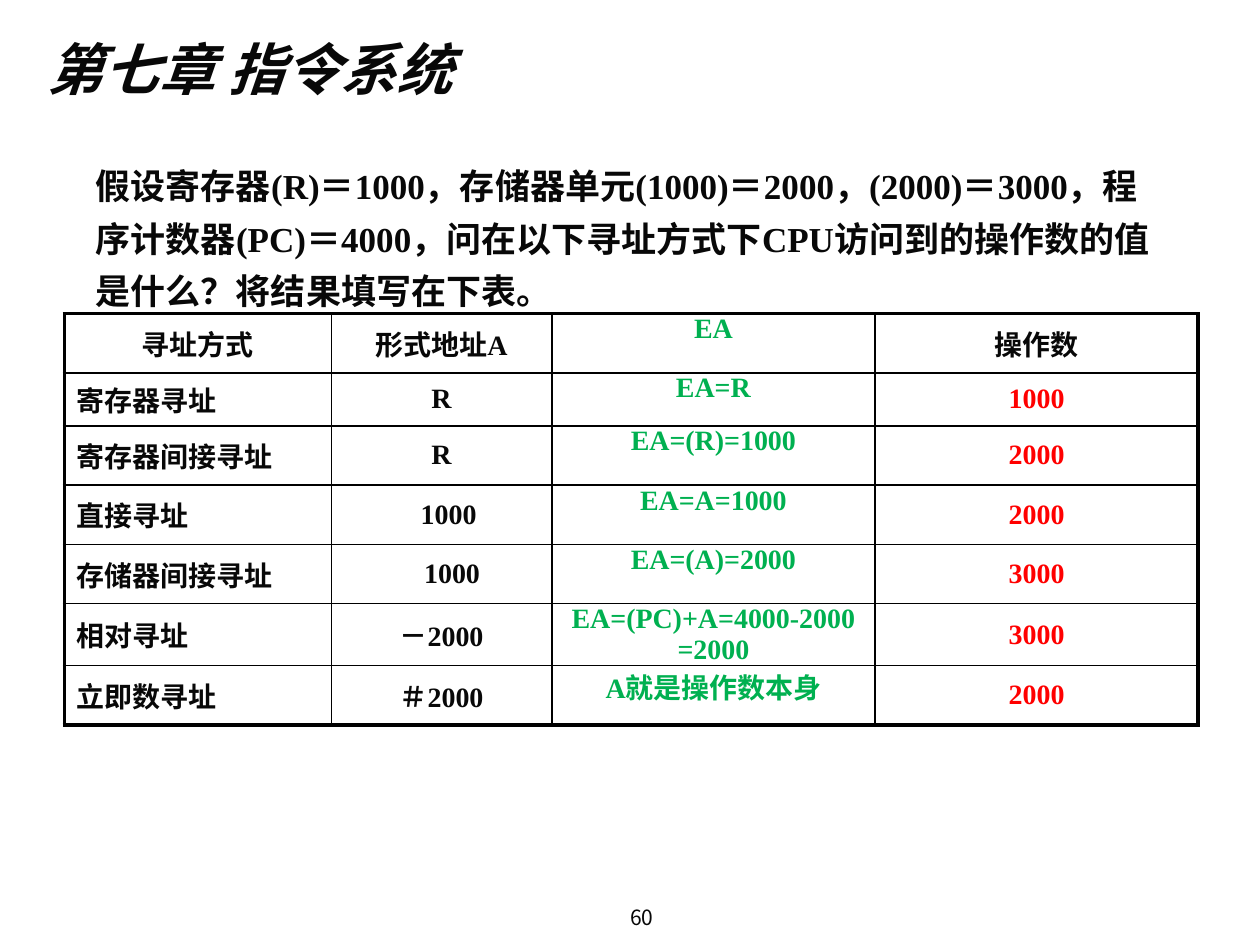
from dataclasses import dataclass

from lxml.etree import SubElement
from pptx import Presentation
from pptx.dml.color import RGBColor as RGB
from pptx.enum.text import MSO_ANCHOR as Anchor, MSO_AUTO_SIZE as AutoSize, PP_ALIGN as Align
from pptx.oxml.ns import qn
from pptx.util import Pt


@dataclass(frozen=True)
class Theme:
    ink: RGB = RGB(0x08, 0x08, 0x08)
    formula: RGB = RGB(0x00, 0xB0, 0x50)
    answer: RGB = RGB(0xFF, 0x00, 0x00)
    paper: RGB = RGB(0xFF, 0xFF, 0xFF)
    border: str = "000000"
    latin: str = "Times New Roman"
    cjk: str = "Noto Sans CJK SC"
    heading: int = 32
    question: int = 20
    cell: int = 16
    number: int = 12
    outer: float = 2.25
    inner: float = 1


THEME = Theme()
HANG = 27.36

HEADING = "第七章 指令系统"
QUESTION = ("假设寄存器(R)＝1000，存储器单元(1000)＝2000，(2000)＝3000，程序计数器(PC)＝4000，"
            "问在以下寻址方式下CPU访问到的操作数的值是什么？将结果填写在下表。")

COLUMN_WIDTHS = [152.64, 126, 184.68, 184.68]
ROW_HEIGHTS = [33.84, 30] + [33.84] * 5
MODES = [
    ("寻址方式", "形式地址A", "EA", "操作数"),
    ("寄存器寻址", "R", "EA=R", "1000"),
    ("寄存器间接寻址", "R", "EA=(R)=1000", "2000"),
    ("直接寻址", "1000", "EA=A=1000", "2000"),
    ("存储器间接寻址", "1000", "EA=(A)=2000", "3000"),
    ("相对寻址", "－2000", "EA=(PC)+A=4000-2000\n=2000", "3000"),
    ("立即数寻址", "＃2000", "A就是操作数本身", "2000"),
]
ADDRESS_INDENTS = {3: 8, 4: 12}


def style(paragraph, size, color, latin, bold=True, italic=False, align=Align.LEFT):
    paragraph.alignment = align
    font = paragraph.font
    font.size, font.bold, font.italic, font.name = Pt(size), bold, italic, latin
    font.color.rgb = color
    SubElement(font._element, qn("a:ea")).set("typeface", THEME.cjk)


def indent(paragraph, first, left=0):
    properties = paragraph._p.get_or_add_pPr()
    properties.set("marL", str(Pt(left)))
    properties.set("indent", str(Pt(first)))


def set_insets(frame, left, top, right, bottom):
    frame.margin_left, frame.margin_top = Pt(left), Pt(top)
    frame.margin_right, frame.margin_bottom = Pt(right), Pt(bottom)


def place(shape, left, top, width, height):
    shape.left, shape.top, shape.width, shape.height = map(Pt, (left, top, width, height))


def add_title(slide):
    title = slide.shapes.title
    place(title, 20.16, 66.24, 648, 108)
    frame = title.text_frame
    frame.word_wrap, frame.auto_size = True, AutoSize.NONE
    frame.vertical_anchor = Anchor.MIDDLE
    # The deep bottom inset lifts the text above the table
    set_insets(frame, 7.2, 0, 7.2, 44)
    frame.text = f"{HEADING}\n{QUESTION}"
    heading, question = frame.paragraphs
    style(heading, THEME.heading, THEME.ink, THEME.cjk, italic=True)
    style(question, THEME.question, THEME.ink, THEME.latin)
    heading.line_spacing, question.line_spacing = Pt(40), Pt(30)
    heading.space_before, question.space_before = Pt(0), Pt(30)
    indent(heading, -HANG, HANG)
    indent(question, 0, HANG)


def set_borders(cell, row, column):
    outer_sides = {
        "a:lnL": column == 0,
        "a:lnR": column == len(COLUMN_WIDTHS) - 1,
        "a:lnT": row == 0,
        "a:lnB": row == len(ROW_HEIGHTS) - 1,
    }
    properties = cell._tc.get_or_add_tcPr()
    for side, is_outer in outer_sides.items():
        line = SubElement(properties, qn(side))
        line.set("w", str(Pt(THEME.outer if is_outer else THEME.inner)))
        fill = SubElement(line, qn("a:solidFill"))
        SubElement(fill, qn("a:srgbClr")).set("val", THEME.border)


def fill_cell(cell, text, row, column):
    is_header, is_formula = row == 0, column == 2
    color = THEME.ink
    if is_formula:
        color = THEME.formula
    elif column == 3 and not is_header:
        color = THEME.answer
    set_borders(cell, row, column)
    cell.fill.solid()
    cell.fill.fore_color.rgb = THEME.paper
    cell.vertical_anchor = Anchor.TOP if is_formula else Anchor.MIDDLE
    set_insets(cell, *((0, 0, 0, 0) if is_formula else (7.2, 3.6, 7.2, 3.6)))
    cell.text_frame.text = text
    for paragraph in cell.text_frame.paragraphs:
        align = Align.LEFT if column == 0 and not is_header else Align.CENTER
        style(paragraph, THEME.cell, color, THEME.latin, align=align)
        if column == 1:
            indent(paragraph, ADDRESS_INDENTS.get(row, 0))


def add_mode_table(slide):
    frame = slide.shapes.add_table(len(MODES), len(COLUMN_WIDTHS), Pt(36.72), Pt(179.28),
                                   Pt(sum(COLUMN_WIDTHS)), Pt(sum(ROW_HEIGHTS)))
    table = frame.table
    table.first_row = table.horz_banding = False
    for column, width in zip(table.columns, COLUMN_WIDTHS):
        column.width = Pt(width)
    for row, height in zip(table.rows, ROW_HEIGHTS):
        row.height = Pt(height)
    for row, mode in enumerate(MODES):
        for column, text in enumerate(mode):
            fill_cell(table.cell(row, column), text, row, column)


def add_page_number(slide):
    number = slide.shapes.add_textbox(Pt(246.24), Pt(514.8), Pt(228.24), Pt(19.44))
    frame = number.text_frame
    frame.word_wrap = True
    set_insets(frame, 0, 2.3, 0, 0)
    frame.text = "60"
    paragraph = frame.paragraphs[0]
    style(paragraph, THEME.number, THEME.ink, THEME.cjk, bold=False, align=Align.CENTER)
    indent(paragraph, 13)


def main():
    deck = Presentation()
    deck.slide_width, deck.slide_height = Pt(720), Pt(540)
    slide = deck.slides.add_slide(deck.slide_layouts[5])

    # Chapter heading and exercise question
    add_title(slide)
    # Addressing modes and their answers
    add_mode_table(slide)
    # Page number
    add_page_number(slide)

    deck.save("out.pptx")


if __name__ == "__main__":
    main()
